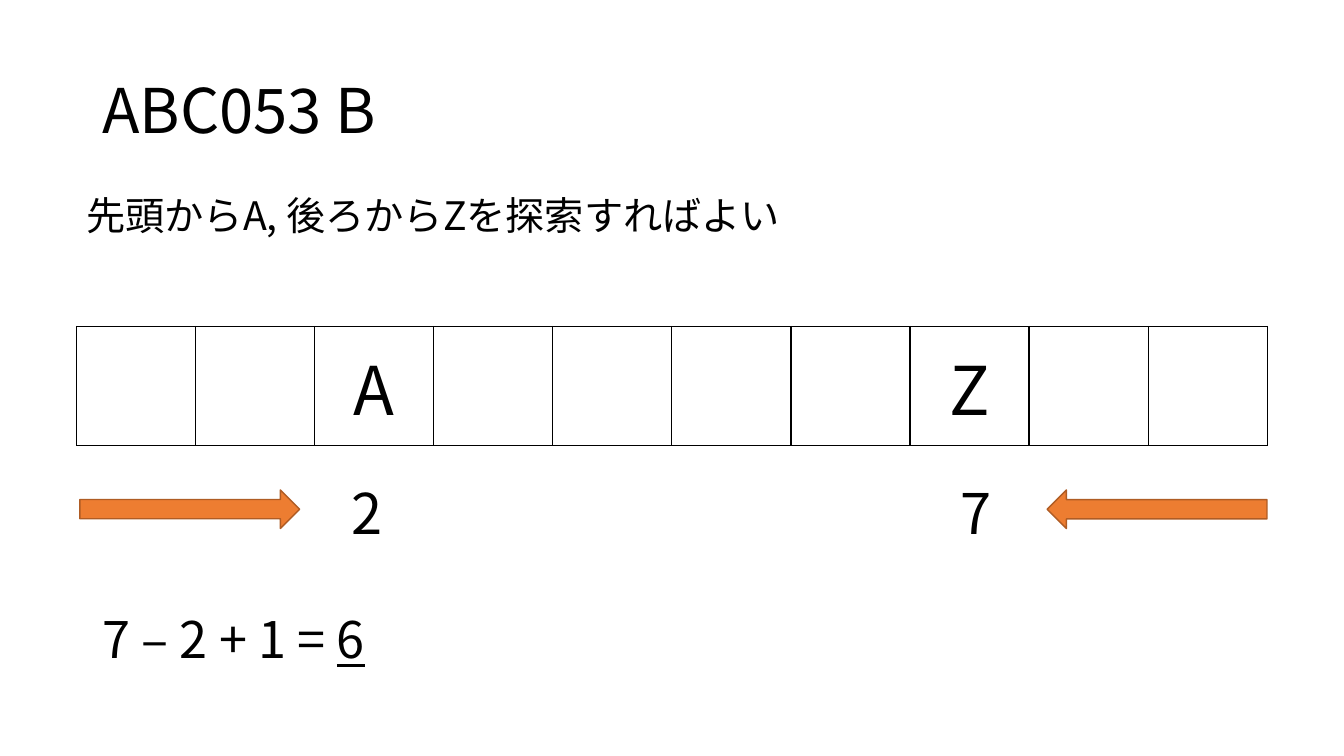
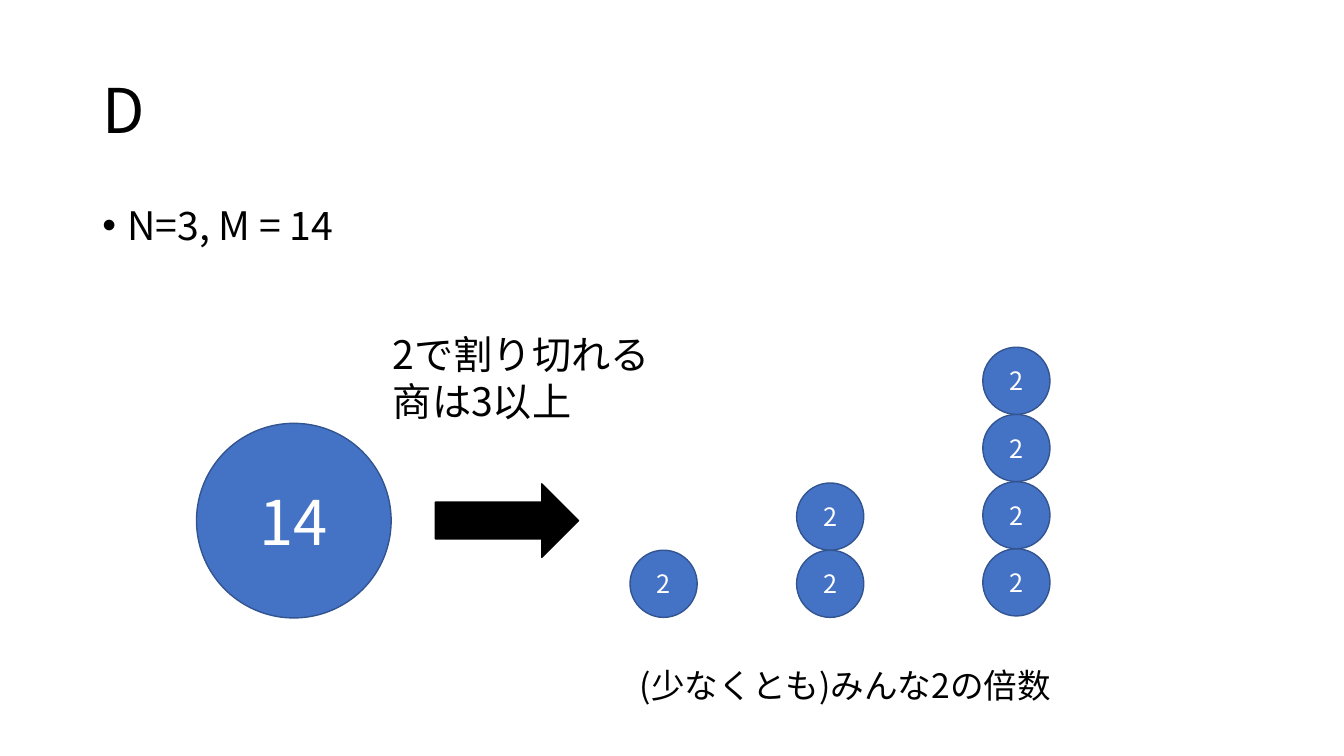
from dataclasses import dataclass

from lxml.etree import SubElement
from pptx import Presentation
from pptx.dml.color import RGBColor
from pptx.enum.shapes import MSO_SHAPE
from pptx.enum.text import MSO_ANCHOR, PP_ALIGN
from pptx.oxml.ns import qn
from pptx.util import Pt


# Colours, font and type sizes shared by the slides
@dataclass(frozen=True)
class Theme:
    font: str = "Noto Sans CJK JP"
    ink: str = "000000"
    white: str = "FFFFFF"
    blue: str = "4472C4"
    blue_line: str = "325491"
    orange: str = "ED7D31"
    orange_line: str = "AF5C24"
    letter: int = 48
    title: int = 44
    index: int = 40
    formula: int = 36
    body: int = 28
    caption: int = 24
    small: int = 18


T = Theme()
CELL = 85.05
BALL = 48


# Text
def write(p, text, *, size=T.body, color=T.ink, align=None, underline=None):
    r = p.add_run()
    r.text = text
    r.font.size = Pt(size)
    r.font.name = T.font
    r.font.color.rgb = RGBColor.from_string(color)
    r.font.underline = underline
    SubElement(r.font._element, qn("a:ea"), typeface=T.font)
    if align is not None:
        p.alignment = align


def add_text(s, box, *lines, anchor=MSO_ANCHOR.TOP, wrap=True, **fmt):
    tf = s.shapes.add_textbox(*map(Pt, box)).text_frame
    tf.word_wrap = wrap
    tf.vertical_anchor = anchor
    for i, line in enumerate(lines):
        p = tf.add_paragraph() if i else tf.paragraphs[0]
        write(p, line, **fmt)
    return tf.paragraphs[0]


def add_bullet(s, box, text):
    p = add_text(s, box, text)
    p.line_spacing = 0.9
    p.space_before = Pt(10)
    pPr = p._p.get_or_add_pPr()
    pPr.set("marL", str(Pt(18)))
    pPr.set("indent", str(Pt(-18)))
    SubElement(pPr, qn("a:buFont"), typeface="Arial")
    SubElement(pPr, qn("a:buChar"), char="•")


def add_titled_slide(prs, title):
    s = prs.slides.add_slide(prs.slide_layouts[6])
    p = add_text(s, (66, 28.75, 828, 104.4), title,
                 anchor=MSO_ANCHOR.MIDDLE, size=T.title)
    p.line_spacing = 0.9
    return s


# Shapes
def add_shape(s, kind, box, fill, line):
    sp = s.shapes.add_shape(kind, *map(Pt, box))
    sp.shadow.inherit = False
    sp.fill.solid()
    sp.fill.fore_color.rgb = RGBColor.from_string(fill)
    sp.line.color.rgb = RGBColor.from_string(line)
    sp.line.width = Pt(1)
    return sp


def add_arrow(s, box, fill, line, rotation=0):
    add_shape(s, MSO_SHAPE.RIGHT_ARROW, box, fill, line).rotation = rotation


def add_ball(s, left, top, diameter, text, size):
    box = (left, top, diameter, diameter)
    tf = add_shape(s, MSO_SHAPE.OVAL, box, T.blue, T.blue_line).text_frame
    tf.vertical_anchor = MSO_ANCHOR.MIDDLE
    write(tf.paragraphs[0], text, size=size, color=T.white,
          align=PP_ALIGN.CENTER)


def add_stack(s, left, bottom, count):
    for i in range(1, count + 1):
        add_ball(s, left, bottom - i * BALL, BALL, "2", T.small)


# Table
def set_borders(cell):
    tcPr = cell._tc.get_or_add_tcPr()
    for i, side in enumerate(("a:lnL", "a:lnR", "a:lnT", "a:lnB")):
        ln = tcPr.makeelement(qn(side), {"w": str(Pt(1))})
        SubElement(SubElement(ln, qn("a:solidFill")),
                   qn("a:srgbClr"), val=T.ink)
        tcPr.insert(i, ln)


def add_letter_row(s, left, top, letters):
    box = (left, top, CELL * len(letters), CELL)
    table = s.shapes.add_table(1, len(letters), *map(Pt, box)).table
    table.first_row = table.horz_banding = False
    for column, cell, letter in zip(table.columns, table.iter_cells(), letters):
        column.width = Pt(CELL)
        cell.fill.background()
        cell.vertical_anchor = MSO_ANCHOR.MIDDLE
        set_borders(cell)
        if letter.strip():
            write(cell.text_frame.paragraphs[0], letter, size=T.letter,
                  align=PP_ALIGN.CENTER)


# Slides
def build_search(prs):
    s = add_titled_slide(prs, "ABC053 B")
    add_letter_row(s, 54.75, 233.25, "  A    Z  ")
    add_text(s, (54.75, 133.2, 617, 41), "先頭からA, 後ろからZを探索すればよい")
    for left, index in ((244, "2"), (679, "7")):
        add_text(s, (left, 338.4, 36.7, 55.4), index, size=T.index, wrap=False)
    p = add_text(s, (66, 430.5, 617, 51), "7 – 2 + 1 = ", size=T.formula)
    write(p, "6", size=T.formula, underline=True)
    for left, rotation in ((57, 0), (748, 180)):
        add_arrow(s, (left, 350, 157, 27.5), T.orange, T.orange_line, rotation)


def build_division(prs):
    s = add_titled_slide(prs, "D")
    add_bullet(s, (66, 144, 828, 342.75), "N=3, M = 14")
    add_ball(s, 140.4, 302.4, 139, "14", T.title)
    for left, bottom, count in ((450, 441, 1), (569, 441, 2), (702, 440, 4)):
        add_stack(s, left, bottom, count)
    add_arrow(s, (311, 345.6, 102.25, 52.5), T.ink, T.ink)
    add_text(s, (273.6, 232.6, 200, 75), "2で割り切れる", "商は3以上")
    add_text(s, (450, 471.6, 313, 36), "(少なくとも)みんな2の倍数",
             size=T.caption)


def main():
    prs = Presentation()
    prs.slide_width, prs.slide_height = Pt(960), Pt(540)
    build_search(prs)
    build_division(prs)
    prs.save("out.pptx")


main()
